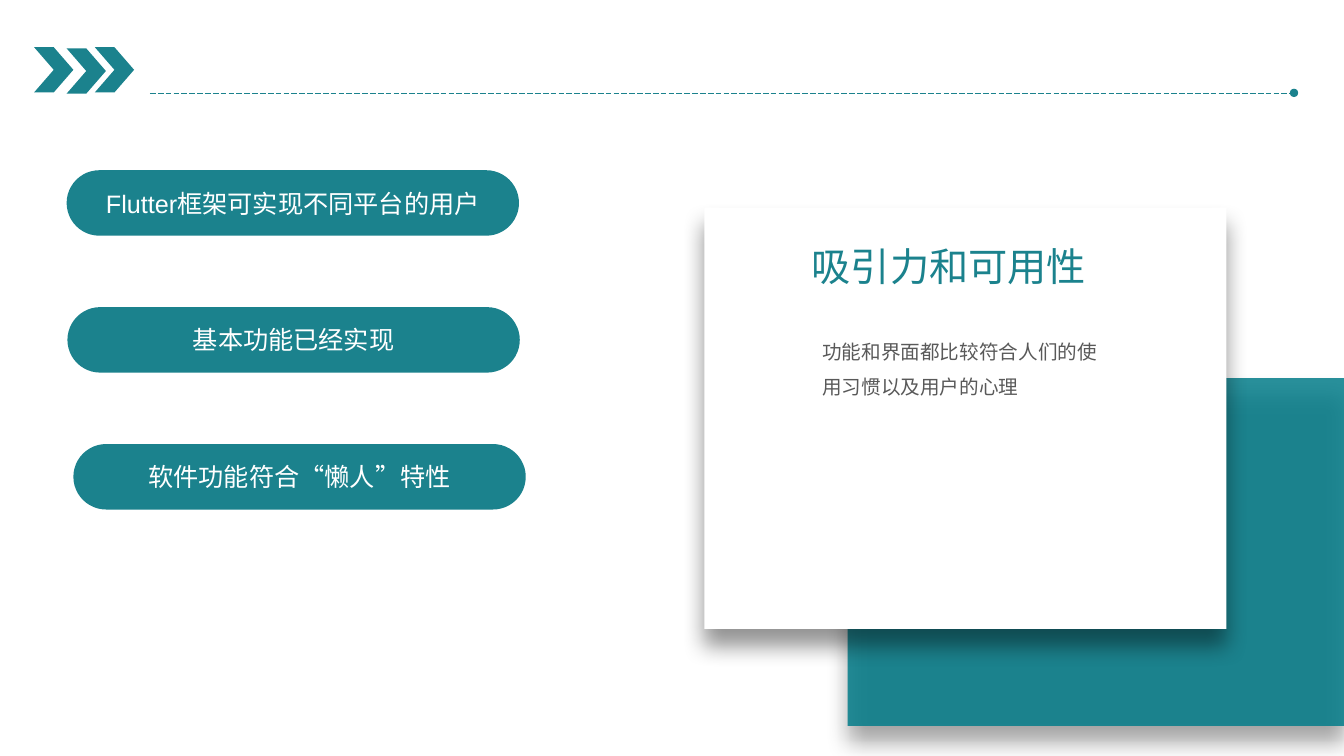
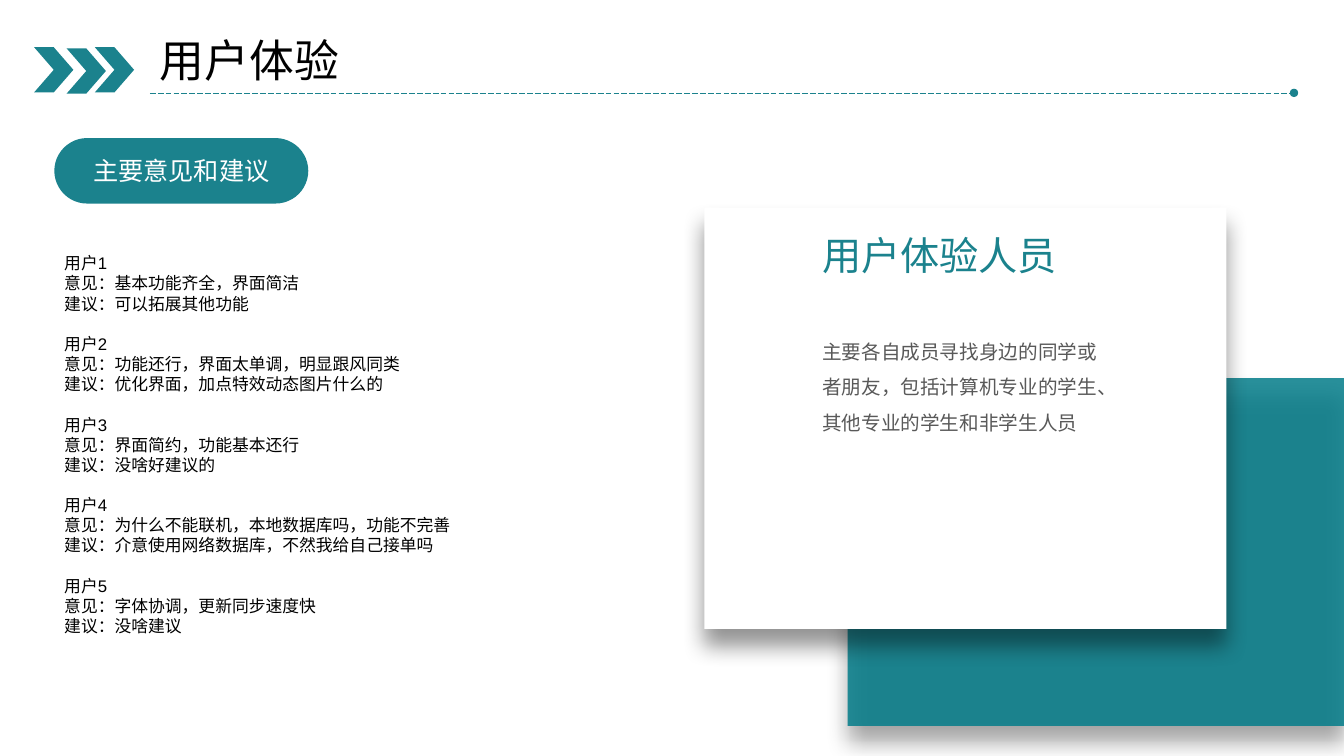
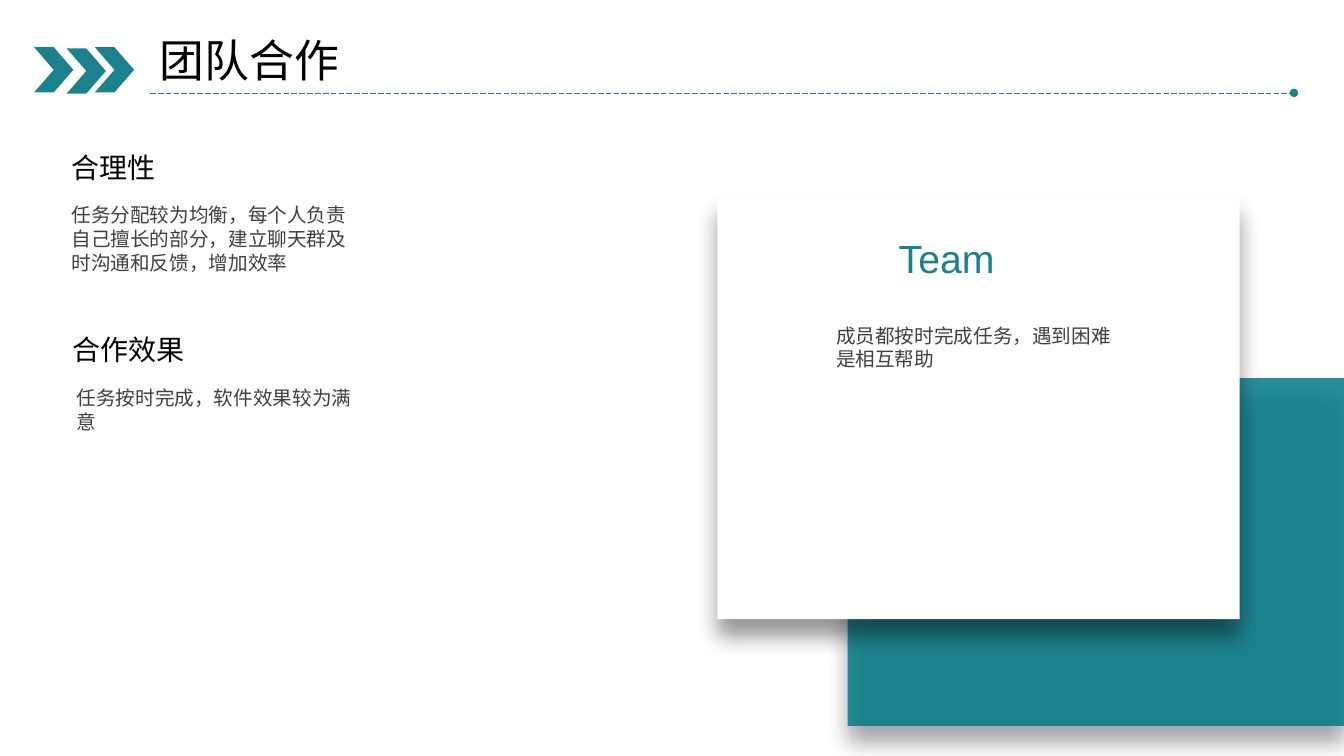
from lxml import etree
from pptx import Presentation
from pptx.dml.color import RGBColor
from pptx.enum.dml import MSO_LINE
from pptx.enum.lang import MSO_LANGUAGE_ID
from pptx.enum.shapes import MSO_CONNECTOR, MSO_SHAPE
from pptx.enum.text import MSO_ANCHOR, MSO_AUTO_SIZE, PP_ALIGN
from pptx.oxml.ns import qn
from pptx.util import Cm, Pt

RECTANGLE = MSO_SHAPE.RECTANGLE
ROUNDED = MSO_SHAPE.ROUNDED_RECTANGLE
CHEVRON = MSO_SHAPE.CHEVRON
STRAIGHT = MSO_CONNECTOR.STRAIGHT
LONG_DASH = MSO_LINE.LONG_DASH
CHINESE = MSO_LANGUAGE_ID.SIMPLIFIED_CHINESE
MIDDLE = MSO_ANCHOR.MIDDLE
CENTER, LEFT = PP_ALIGN.CENTER, PP_ALIGN.LEFT
GROW = MSO_AUTO_SIZE.SHAPE_TO_FIT_TEXT

FONT = "Arial"
COLORS = {
    "teal": "1B828D",
    "block": "047D8A",
    "white": "FFFFFF",
    "black": "000000",
    "gray": "595959",
    "dark": "404040",
}
PILL_HEIGHT = 1.65
CARD_SIZE = (13.16, 10.62)


def rgb(name):
    return RGBColor.from_string(COLORS[name])


def lengths(box):
    return [Cm(value) for value in box]


def write(frame, lines, size, color, align=LEFT, spacing=None):
    """Fill a text frame with one paragraph per line."""
    frame.text = "\n".join(lines)
    for para in frame.paragraphs:
        para.alignment = align
        if spacing:
            para.line_spacing = spacing
        for span in para.runs:
            span.font.name = FONT
            span.font.size = Pt(size)
            span.font.color.rgb = rgb(color)
            span.font.language_id = CHINESE


def add_text(page, box, lines, size, color, wrap=True, spacing=None):
    frame = page.shapes.add_textbox(*lengths(box)).text_frame
    frame.word_wrap = wrap
    frame.auto_size = GROW
    write(frame, lines, size, color, spacing=spacing)
    return frame


def add_filled(page, kind, box, color):
    shape = page.shapes.add_shape(kind, *lengths(box))
    shape.shadow.inherit = False
    shape.fill.solid()
    shape.fill.fore_color.rgb = rgb(color)
    shape.line.fill.background()
    return shape


def add_shadow(shape):
    """Soft black shadow falling straight down."""
    effects = shape._element.spPr.find(qn("a:effectLst"))
    shadow = etree.SubElement(
        effects, qn("a:outerShdw"), blurRad=str(Pt(16)), dist=str(Pt(12)),
        dir="5400000", algn="t", rotWithShape="0")
    color = etree.SubElement(shadow, qn("a:srgbClr"), val=COLORS["black"])
    etree.SubElement(color, qn("a:alpha"), val="42000")


def add_header(page, title=None):
    """Chevrons, dashed rule with a dot, and the page title."""
    for left, top in ((0.86, 1.19), (1.68, 1.22), (2.39, 1.19)):
        add_filled(page, CHEVRON, (left, top, 0.99, 1.14), "teal")
    rule = page.shapes.add_connector(STRAIGHT, *lengths((3.78, 2.34, 32.61, 2.34)))
    rule.line.color.rgb = rgb("teal")
    rule.line.width = Pt(0.5)
    rule.line.dash_style = LONG_DASH
    properties = rule._element.spPr
    etree.SubElement(properties.find(qn("a:ln")), qn("a:tailEnd"), type="oval")
    etree.SubElement(properties, qn("a:effectLst"))
    if title:
        add_text(page, (3.78, 0.71, 5.08, 1.63), [title], 32, "black", wrap=False)


def add_card(page, corner, heading, heading_box, body, body_box, color="gray", spacing=1.5):
    """White card over the teal block; text boxes are relative to the card."""
    block = add_filled(page, RECTANGLE, (21.36, 9.53, 12.52, 8.76), "block")
    block_color = block._element.spPr.find(qn("a:solidFill"))[0]
    etree.SubElement(block_color, qn("a:alpha"), val="85000")
    card = add_filled(page, RECTANGLE, (*corner, *CARD_SIZE), "white")
    for shape in (block, card):
        add_shadow(shape)

    def inside(box):
        return (corner[0] + box[0], corner[1] + box[1], *box[2:])

    add_text(page, inside(heading_box), [heading], 28, "teal")
    add_text(page, inside(body_box), [body], 14, color, spacing=spacing)


def add_pill(page, left, top, width, label):
    pill = add_filled(page, ROUNDED, (left, top, width, PILL_HEIGHT), "teal")
    pill.adjustments[0] = 0.5
    pill.text_frame.word_wrap = True
    pill.text_frame.vertical_anchor = MIDDLE
    write(pill.text_frame, [label], 18, "white", CENTER)


def add_comments(page, box, comments):
    """Numbered users, each with an opinion and a suggestion."""
    lines = []
    for number, (opinion, advice) in enumerate(comments, 1):
        lines += [f"用户{number}", f"意见：{opinion}", f"建议：{advice}"]
    frame = add_text(page, box, lines, 12, "black")
    for para in frame.paragraphs[3::3]:
        para.space_before = Pt(14.4)


def add_topic(page, left, top, width, heading, body, body_height, indent=0):
    add_text(page, (left, top, width, 1.12), [heading], 20, "black", wrap=False)
    add_text(page, (left + indent, top + 1.34, 7.65, body_height), [body], 14, "dark")


def build_appeal(page):
    add_header(page)
    add_card(page, (17.75, 5.23),
             "吸引力和可用性", (2.46, 0.74, 8.26, 1.45),
             "功能和界面都比较符合人们的使用习惯以及用户的心理", (2.72, 2.92, 7.72, 1.93))
    pills = (
        (1.68, "Flutter框架可实现不同平台的用户"),
        (1.7, "基本功能已经实现"),
        (1.85, "软件功能符合“懒人”特性"),
    )
    for row, (left, label) in enumerate(pills):
        add_pill(page, left, 4.29 + row * 3.45, 11.4, label)


def build_experience(page):
    add_header(page, "用户体验")
    add_card(page, (17.75, 5.23),
             "用户体验人员", (2.72, 0.48, 6.68, 1.45),
             "主要各自成员寻找身边的同学或者朋友，包括计算机专业的学生、其他专业的学生和非学生人员",
             (2.72, 2.92, 7.72, 2.84))
    add_pill(page, 1.37, 3.48, 6.4, "主要意见和建议")
    add_comments(page, (1.37, 6.25, 15.34, 10.01), (
        ("基本功能齐全，界面简洁", "可以拓展其他功能"),
        ("功能还行，界面太单调，明显跟风同类", "优化界面，加点特效动态图片什么的"),
        ("界面简约，功能基本还行", "没啥好建议的"),
        ("为什么不能联机，本地数据库吗，功能不完善", "介意使用网络数据库，不然我给自己接单吗"),
        ("字体协调，更新同步速度快", "没啥建议"),
    ))


def build_teamwork(page):
    add_header(page, "团队合作")
    add_card(page, (18.08, 4.98),
             "Team", (4.32, 0.81, 3.76, 1.45),
             "成员都按时完成任务，遇到困难是相互帮助", (2.74, 3.05, 7.65, 1.45),
             color="dark", spacing=None)
    add_topic(page, 1.55, 3.66, 2.64, "合理性",
              "任务分配较为均衡，每个人负责自己擅长的部分，建立聊天群及时沟通和反馈，增加效率", 2.06)
    add_topic(page, 1.57, 8.26, 3.35, "合作效果",
              "任务按时完成，软件效果较为满意", 1.45, indent=0.11)


def main():
    deck = Presentation()
    deck.slide_width, deck.slide_height = Cm(33.87), Cm(19.05)
    blank = deck.slide_layouts[6]
    for build in (build_appeal, build_experience, build_teamwork):
        build(deck.slides.add_slide(blank))
    deck.save("out.pptx")


if __name__ == "__main__":
    main()
